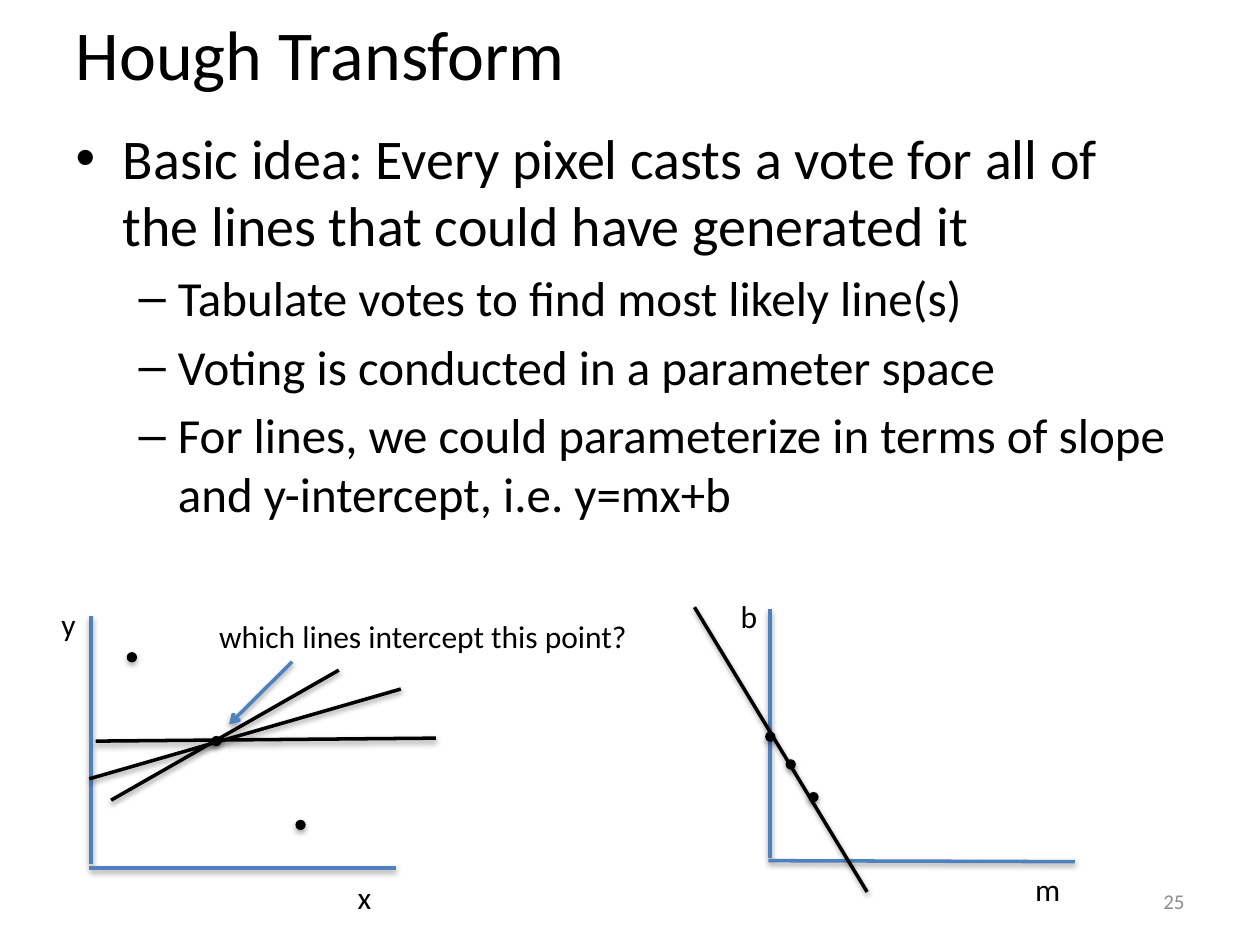
from pptx import Presentation
from pptx.dml.color import RGBColor
from pptx.enum import shapes, text
from pptx.oxml.ns import qn
from pptx.util import Cm, Pt
from lxml import etree

BLACK, BLUE, GREY = "000000", "4F81BD", "8C8C8C"


def rgb(hex_string):
    return RGBColor.from_string(hex_string)


def style(p, size, color=BLACK):
    """Format every run of a paragraph."""
    for r in p.runs:
        r.font.name = "Calibri"
        r.font.size = Pt(size)
        r.font.color.rgb = rgb(color)


prs = Presentation()
prs.slide_width, prs.slide_height = Cm(25.4), Cm(19.05)
s = prs.slides.add_slide(prs.slide_layouts[1])

# Title and bullet list
title, body = s.placeholders
title.left, title.top, title.width, title.height = Cm(1.27), Cm(-0.53), Cm(22.86), Cm(3.18)
title.text_frame.text = "Hough Transform"
title.text_frame.paragraphs[0].alignment = text.PP_ALIGN.LEFT
style(title.text_frame.paragraphs[0], 40)

body.left, body.top, body.width, body.height = Cm(1.27), Cm(2.36), Cm(22.86), Cm(12.57)
bullets = [
    (0, "Basic idea: Every pixel casts a vote for all of the lines that could have generated it"),
    (1, "Tabulate votes to find most likely line(s)"),
    (1, "Voting is conducted in a parameter space"),
    (1, "For lines, we could parameterize in terms of slope and y-intercept, i.e. y=mx+b"),
]
tf = body.text_frame
tf.text = "\n".join(line for level, line in bullets)
for p, (level, line) in zip(tf.paragraphs, bullets):
    p.level = level
    style(p, 28 if level else 32)

# Axes, candidate lines and pointer; they keep the theme's soft shadow
lines = [
    (BLUE, 1.83, 12.42, 1.83, 17.42),    # y axis
    (BLUE, 7.98, 17.5, 1.8, 17.5),       # x axis
    (BLUE, 15.52, 12.27, 15.52, 17.3),   # b axis
    (BLUE, 21.67, 17.37, 15.49, 17.35),  # m axis
    (BLACK, 1.93, 14.94, 8.79, 14.88),
    (BLACK, 1.8, 15.7, 8.08, 13.89),
    (BLACK, 2.24, 16.13, 6.83, 13.51),
    (BLACK, 14, 12.24, 17.48, 17.98),    # line in parameter space
    (BLUE, 5.89, 13.34, 4.62, 14.6),     # pointer
]
for color, *ends in lines:
    pointer = s.shapes.add_connector(shapes.MSO_CONNECTOR.STRAIGHT, *map(Cm, ends))
    pointer.line.color.rgb = rgb(color)
    pointer.line.width = Pt(2)
etree.SubElement(pointer.line._get_or_add_ln(), qn("a:tailEnd"), type="arrow")

# Points in image space lie on a diagonal, those in parameter space on the line
dots = [(2.57 + 1.7 * i, 13.16 + 1.69 * i) for i in range(3)]
dots += [(15.44, 14.76), (15.85, 15.32), (16.31, 15.98)]
for x, y in dots:
    dot = s.shapes.add_shape(shapes.MSO_SHAPE.OVAL, Cm(x), Cm(y), Cm(0.18), Cm(0.18))
    dot.fill.solid()
    dot.fill.fore_color.rgb = rgb(BLACK)
    dot.line.color.rgb = rgb(BLACK)
    dot.line.width = Pt(0.75)

# Labels
labels = [
    ("y", 0.99, 12.07, 0.86),
    ("x", 6.96, 17.58, 0.84),
    ("b", 14.68, 11.91, 0.86),
    ("m", 20.62, 17.42, 1.04),
    ("which lines intercept this point?", 4.17, 12.32, 9.42),
]
for label, x, y, width in labels:
    tf = s.shapes.add_textbox(Cm(x), Cm(y), Cm(width), Cm(1.02)).text_frame
    tf.text = label
    tf.word_wrap = False
    style(tf.paragraphs[0], 18)

# Slide number
tf = s.shapes.add_textbox(Cm(18.21), Cm(17.65), Cm(5.92), Cm(1.02)).text_frame
tf.text = "25"
tf.word_wrap = True
tf.vertical_anchor = text.MSO_ANCHOR.MIDDLE
tf.paragraphs[0].alignment = text.PP_ALIGN.RIGHT
style(tf.paragraphs[0], 12, GREY)

prs.save("out.pptx")
